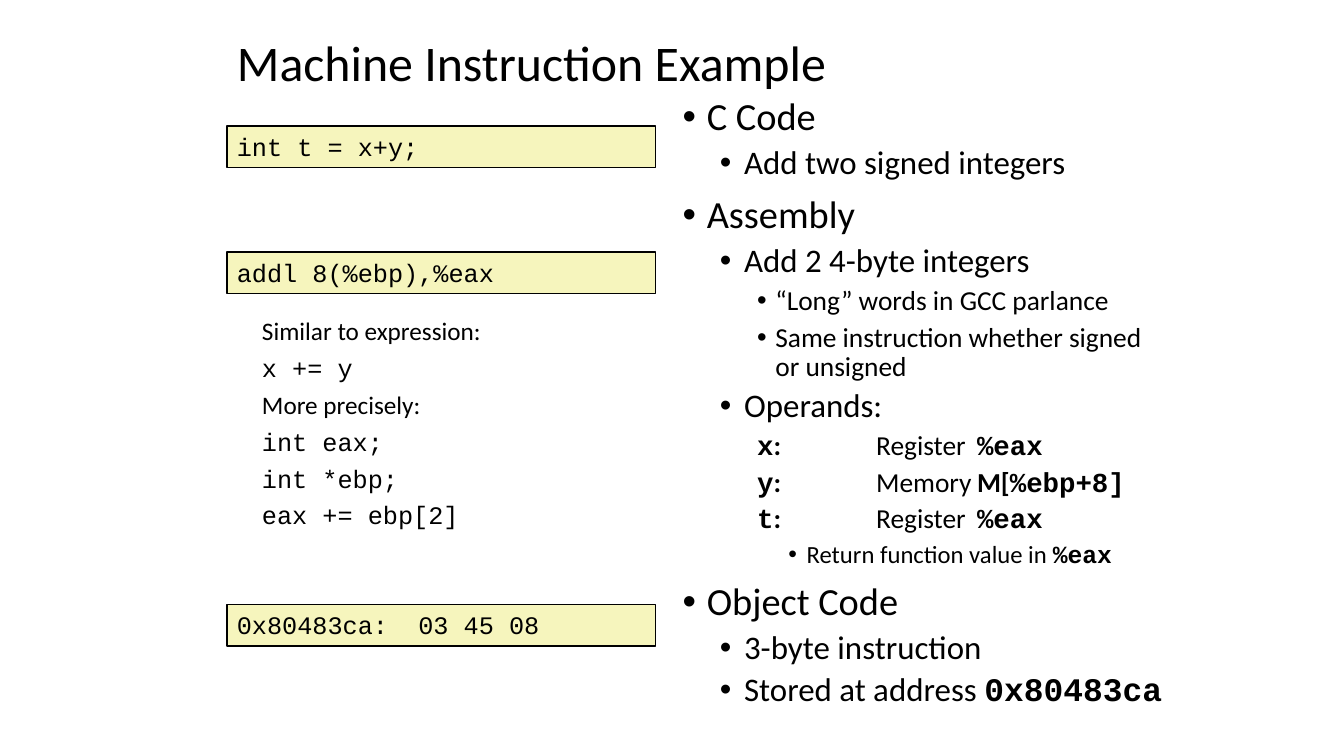
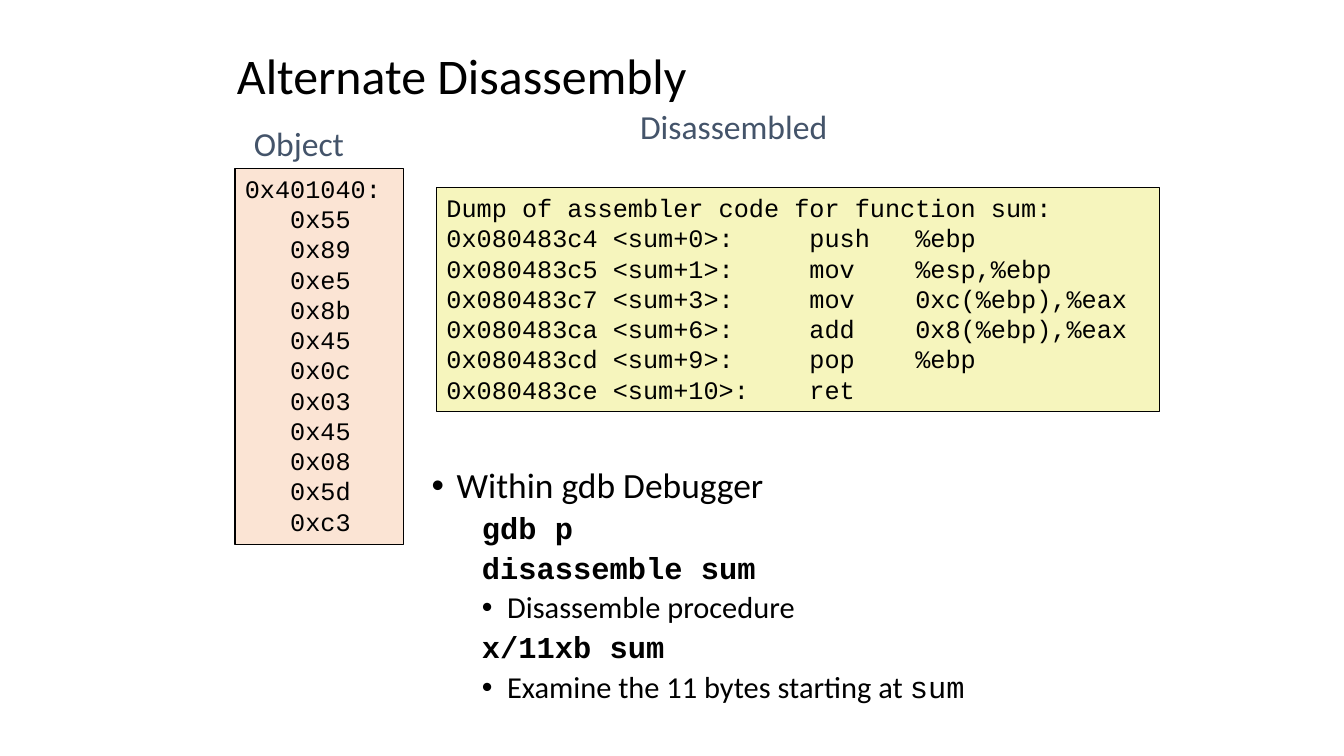
from pptx import Presentation
from pptx.dml.color import RGBColor
from pptx.enum.shapes import MSO_SHAPE as Shape
from pptx.enum.text import MSO_ANCHOR as Anchor, MSO_AUTO_SIZE as AutoSize, PP_ALIGN as Align
from pptx.oxml.ns import qn
from pptx.util import Inches, Pt
from lxml.etree import SubElement

BLACK = RGBColor(0x00, 0x00, 0x00)
SLATE = RGBColor(0x44, 0x54, 0x6A)
YELLOW = RGBColor(0xF6, 0xF5, 0xBD)
PEACH = RGBColor(0xFB, 0xE4, 0xD4)
SANS, MONO = "Calibri", "Courier New"
BOLD = {"bold": True}
CODE = {"face": MONO}
BOLD_CODE = {"face": MONO, "bold": True}

EXAMPLE_LEVELS = [(0.24, 0.24, 27.4), (0.61, 0.24, 23.5), (0.92, 0.18, 19.6), (1.23, 0.18, 17.6)]
DEBUGGER_LEVELS = [(0.25, 0.25, 25.3), (0.75, 0.25, 21.7)]


def write(paragraph, text, size=18, face=SANS, color=BLACK, bold=False):
    """Add a formatted run to a paragraph."""
    run = paragraph.add_run()
    run.text = text
    font = run.font
    font.name, font.size, font.bold = face, Pt(size), bold
    font.color.rgb = color


def operand(name, place, *value):
    """Return an unbulleted row naming an operand and where it lives."""
    return 2, False, [(name, BOLD_CODE), (":\t", BOLD), (place + "\t", {}), *value]


def bullet(level, text, *code):
    """Return a bulleted row, optionally ending in code."""
    return level, True, [(text, {}), *code]


def command(text):
    """Return an unbulleted row holding a debugger command."""
    return 1, False, [(text, BOLD_CODE)]


class Deck:
    """Hold the shared style and the current slide."""

    def __init__(self):
        self.file = Presentation()
        self.file.slide_width, self.file.slide_height = Inches(13.33), Inches(7.5)

    def place(self, shape, left, top, width, height):
        """Position a shape and return its text frame, ready for text."""
        shape.left, shape.top = Inches(left), Inches(top)
        shape.width, shape.height = Inches(width), Inches(height)
        frame = shape.text_frame
        frame.word_wrap, frame.auto_size = True, AutoSize.NONE
        frame.vertical_anchor = Anchor.TOP
        return frame

    def paragraphs(self, frame, rows):
        """Yield a left-aligned paragraph with each row."""
        for index, row in enumerate(rows):
            paragraph = frame.add_paragraph() if index else frame.paragraphs[0]
            paragraph.alignment = Align.LEFT
            paragraph.space_before = Pt(0)
            yield index, paragraph, row

    def start(self, title, *box):
        """Start a slide with its title."""
        self.slide = self.file.slides.add_slide(self.file.slide_layouts[1])
        frame = self.place(self.slide.shapes.title, *box)
        frame.vertical_anchor = Anchor.MIDDLE
        for _, paragraph, text in self.paragraphs(frame, [title]):
            paragraph.line_spacing = 0.9
            write(paragraph, text, size=35.6)

    def outline(self, rows, levels, *box):
        """Fill the body placeholder with an indented list."""
        frame = self.place(self.slide.placeholders[1], *box)
        for index, paragraph, (level, bulleted, runs) in self.paragraphs(frame, rows):
            indent, hang, size = levels[level]
            paragraph.level = level
            paragraph.line_spacing = 0.9
            if index:
                paragraph.space_before = Pt(5 if level else 10)
            props = paragraph._p.get_or_add_pPr()
            props.set("marL", str(Inches(indent)))
            props.set("indent", str(-Inches(hang)))
            props.set("defTabSz", str(Inches(1)))
            if bulleted:
                SubElement(props, qn("a:buFont"), typeface="Arial")
                SubElement(props, qn("a:buChar"), char="•")
            else:
                SubElement(props, qn("a:buNone"))
            for text, style in runs:
                write(paragraph, text, size=size, **style)

    def code(self, lines, fill, *box):
        """Draw a filled box of code lines."""
        panel = self.slide.shapes.add_shape(Shape.RECTANGLE, 0, 0, 0, 0)
        panel.shadow.inherit = False
        panel.fill.solid()
        panel.fill.fore_color.rgb = fill
        panel.line.color.rgb, panel.line.width = BLACK, Pt(1)
        for _, paragraph, text in self.paragraphs(self.place(panel, *box), lines):
            write(paragraph, text, face=MONO)

    def label(self, text, *box):
        """Add a heading above a code box."""
        frame = self.place(self.slide.shapes.add_textbox(0, 0, 0, 0), *box)
        write(frame.paragraphs[0], text, size=24, color=SLATE)

    def explanation(self, lines, *box):
        """Add loosely spaced lines that mix prose and code."""
        frame = self.place(self.slide.shapes.add_textbox(0, 0, 0, 0), *box)
        for index, paragraph, (text, face) in self.paragraphs(frame, lines):
            if index:
                paragraph.line_spacing, paragraph.space_before = 0.8, Pt(9)
            write(paragraph, text, face=face)


def instruction_example(deck):
    """Build the slide following one instruction from C to object code."""
    deck.start("Machine Instruction Example", 2.25, 0.33, 7.94, 0.63)
    deck.outline([
        bullet(0, "C Code"),
        bullet(1, "Add two signed integers"),
        bullet(0, "Assembly"),
        bullet(1, "Add 2 4-byte integers"),
        bullet(2, "“Long” words in GCC parlance"),
        bullet(2, "Same instruction whether signed or unsigned"),
        bullet(1, "Operands:"),
        operand("x", "Register", ("%eax", BOLD_CODE)),
        operand("y", "Memory", ("M[", BOLD), ("%ebp+8]", BOLD_CODE)),
        operand("t", "Register", ("%eax", BOLD_CODE)),
        bullet(3, "Return function value in ", ("%eax", BOLD_CODE)),
        bullet(0, "Object Code"),
        bullet(1, "3-byte instruction"),
        bullet(1, "Stored at address ", ("0x80483ca", BOLD_CODE)),
    ], EXAMPLE_LEVELS, 6.67, 0.92, 5, 6.33)
    for top, line in [(1.25, "int t = x+y;"), (2.5, "addl 8(%ebp),%eax"),
                      (6, "0x80483ca:  03 45 08")]:
        deck.code([line], YELLOW, 2.25, top, 4.25, 0.41)
    deck.explanation([
        ("Similar to expression:", SANS),
        ("x += y", MONO),
        ("More precisely:", SANS),
        ("int eax;", MONO),
        ("int *ebp;", MONO),
        ("eax += ebp[2]", MONO),
    ], 2.5, 3.08, 3.75, 2.23)


def alternate_disassembly(deck):
    """Build the slide comparing object bytes with debugger output."""
    deck.start("Alternate Disassembly", 2.25, 0.46, 6.83, 0.63)
    deck.label("Disassembled", 6.25, 1, 2.85, 0.45)
    deck.code([
        "Dump of assembler code for function sum:",
        "0x080483c4 <sum+0>:     push   %ebp",
        "0x080483c5 <sum+1>:     mov    %esp,%ebp",
        "0x080483c7 <sum+3>:     mov    0xc(%ebp),%eax",
        "0x080483ca <sum+6>:     add    0x8(%ebp),%eax",
        "0x080483cd <sum+9>:     pop    %ebp",
        "0x080483ce <sum+10>:    ret",
    ], YELLOW, 4.33, 1.86, 7.17, 2.22)
    deck.outline([
        bullet(0, "Within gdb Debugger"),
        command("gdb p"),
        command("disassemble sum"),
        bullet(1, "Disassemble procedure"),
        command("x/11xb sum"),
        bullet(1, "Examine the 11 bytes starting at ", ("sum", CODE)),
    ], DEBUGGER_LEVELS, 4.18, 4.59, 6.89, 2.46)
    deck.label("Object", 2.42, 1.17, 1.43, 0.45)
    object_bytes = "55 89 e5 8b 45 0c 03 45 08 5d c3".split()
    deck.code(["0x401040:"] + [f"   0x{byte}" for byte in object_bytes],
              PEACH, 2.33, 1.67, 1.67, 3.73)


def main():
    """Build and save the presentation."""
    deck = Deck()
    instruction_example(deck)
    alternate_disassembly(deck)
    deck.file.save("out.pptx")


if __name__ == "__main__":
    main()
